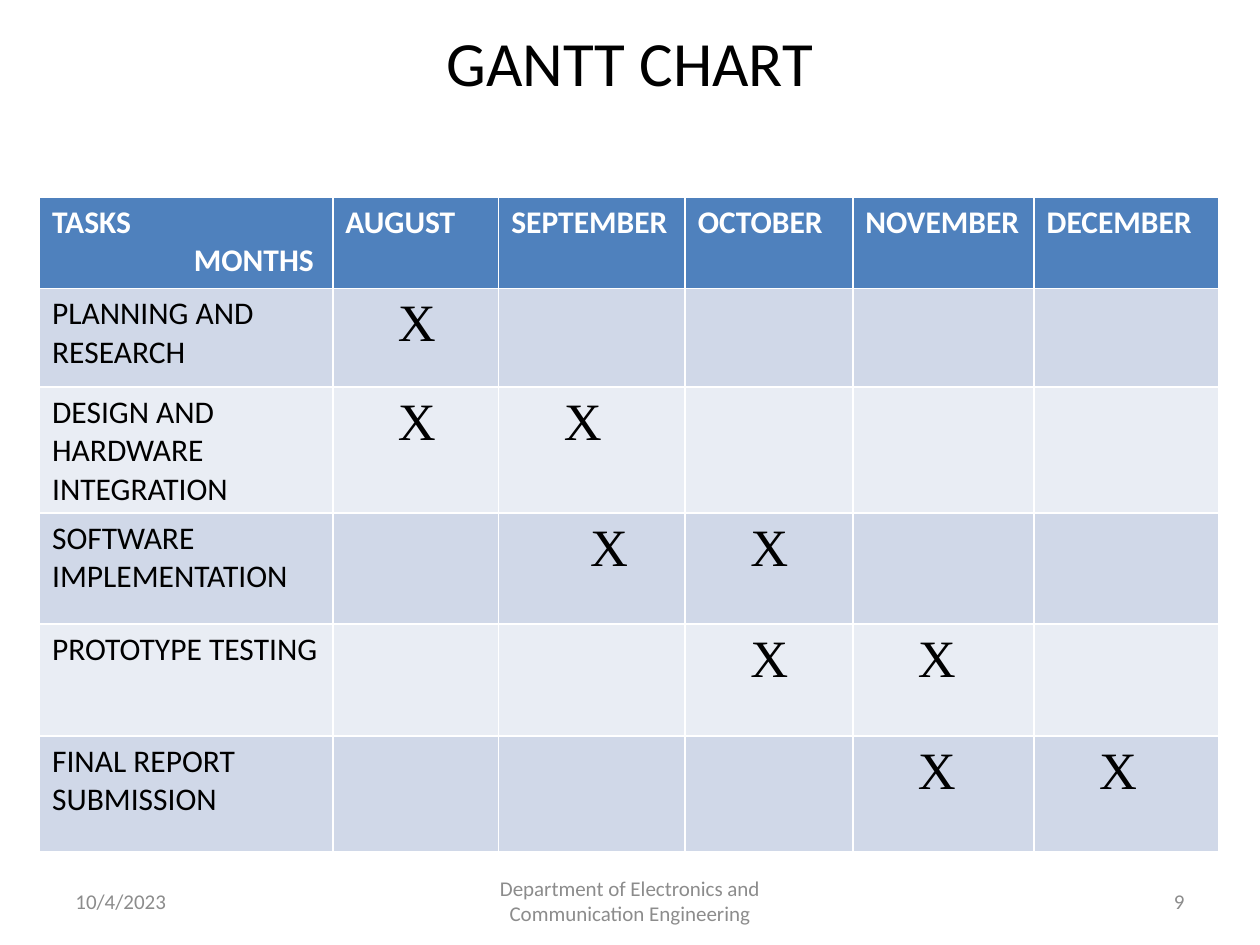
"""Build a Gantt chart slide of project tasks by month."""
import pptx
import pptx.dml.color
import pptx.enum.text
import pptx.util

Pt = pptx.util.Pt
ALIGN = pptx.enum.text.PP_ALIGN
COLORS = {"header": "4F81BD", "odd": "D0D8E8", "even": "E9EDF4",
          "light": "FFFFFF", "dark": "000000", "footer": "8C8C8C"}
MONTHS = ["AUGUST", "SEPTEMBER", "OCTOBER", "NOVEMBER", "DECEMBER"]
MARK_INDENT = 30
TASKS = [
    ("PLANNING AND RESEARCH", {"AUGUST": MARK_INDENT}),
    ("DESIGN AND HARDWARE INTEGRATION", {"AUGUST": MARK_INDENT, "SEPTEMBER": MARK_INDENT}),
    ("SOFTWARE IMPLEMENTATION", {"SEPTEMBER": 45, "OCTOBER": MARK_INDENT}),
    ("PROTOTYPE TESTING", {"OCTOBER": MARK_INDENT, "NOVEMBER": MARK_INDENT}),
    ("FINAL\u00a0REPORT SUBMISSION".replace("\u00a0", " "),
     {"NOVEMBER": MARK_INDENT, "DECEMBER": MARK_INDENT}),
]
COLUMN_WIDTHS = [167.6, 94.8, 106.6, 95.8, 103.6, 105.6]
ROW_HEIGHTS = [52.2, 56.4, 72, 63.4, 64, 66]
TABLE_LEFT, TABLE_TOP = 22.6, 112.6
FOOTERS = [
    ("10/4/2023", 36, 168, ALIGN.LEFT),
    ("Department of Electronics and Communication Engineering", 246, 228, ALIGN.CENTER),
    ("9", 516, 168, ALIGN.RIGHT),
]


def color(name):
    return pptx.dml.color.RGBColor.from_string(COLORS[name])


def write(para, text, size=18, font="Calibri", ink="dark", bold=False,
          align=ALIGN.LEFT, indent=0):
    para.alignment = align
    if indent:
        para._p.get_or_add_pPr().set("marL", str(Pt(indent)))
    span = para.add_run()
    span.text = text
    span.font.size = Pt(size)
    span.font.name = font
    span.font.bold = bold
    span.font.color.rgb = color(ink)


def add_text(page, text, left, top, width, height, **style):
    box = page.shapes.add_textbox(Pt(left), Pt(top), Pt(width), Pt(height))
    frame = box.text_frame
    frame.word_wrap = True
    frame.vertical_anchor = pptx.enum.text.MSO_ANCHOR.MIDDLE
    write(frame.paragraphs[0], text, **style)


def add_schedule(page):
    table = page.shapes.add_table(
        len(ROW_HEIGHTS), len(COLUMN_WIDTHS), Pt(TABLE_LEFT), Pt(TABLE_TOP),
        Pt(sum(COLUMN_WIDTHS)), Pt(sum(ROW_HEIGHTS))).table
    for column, width in zip(table.columns, COLUMN_WIDTHS):
        column.width = Pt(width)
    for number, (row, height) in enumerate(zip(table.rows, ROW_HEIGHTS)):
        row.height = Pt(height)
        band = "header" if number == 0 else "odd" if number % 2 else "even"
        for cell in row.cells:
            cell.fill.solid()
            cell.fill.fore_color.rgb = color(band)

    heading = {"ink": "light", "bold": True}
    for column, text in enumerate(["TASKS"] + MONTHS):
        write(table.cell(0, column).text_frame.paragraphs[0], text, **heading)
    write(table.cell(0, 0).text_frame.add_paragraph(), "MONTHS", indent=81, **heading)

    for row, (task, marks) in enumerate(TASKS, start=1):
        write(table.cell(row, 0).text_frame.paragraphs[0], task)
        for month, indent in marks.items():
            cell = table.cell(row, MONTHS.index(month) + 1)
            write(cell.text_frame.paragraphs[0], "X", size=30,
                  font="Times New Roman", indent=indent)


def main():
    deck = pptx.Presentation()
    deck.slide_width, deck.slide_height = Pt(720), Pt(540)
    page = deck.slides.add_slide(deck.slide_layouts[6])
    add_text(page, "GANTT CHART", 36, -10, 648, 90, size=36, align=ALIGN.CENTER)
    add_schedule(page)
    for text, left, width, align in FOOTERS:
        add_text(page, text, left, 500.5, width, 28.75, size=12, ink="footer", align=align)
    deck.save("out.pptx")


if __name__ == "__main__":
    main()
